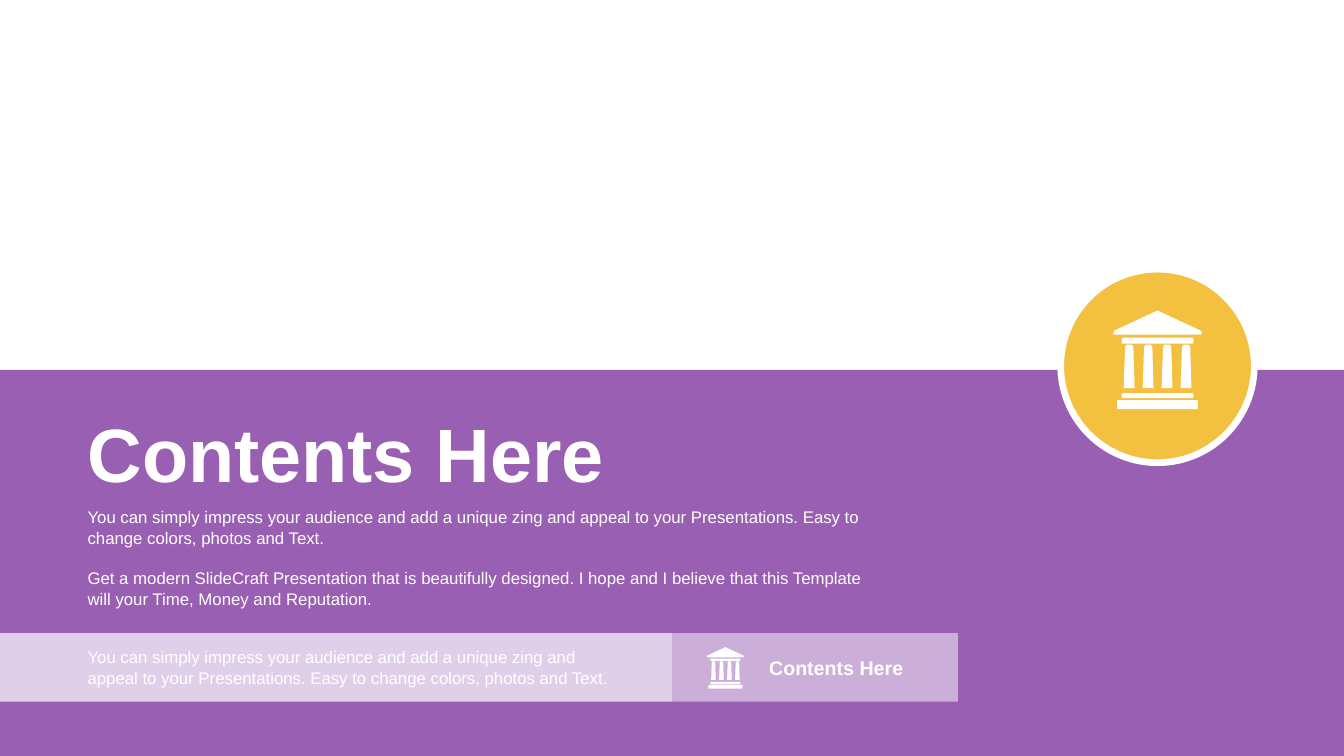
from lxml.etree import SubElement
from pptx import Presentation
from pptx.dml.color import RGBColor as Rgb
from pptx.enum.shapes import MSO_SHAPE as Kind
from pptx.oxml.ns import qn
from pptx.util import Inches, Pt

HUES = {"white": "FFFFFF", "plum": "995FB2", "gold": "F3C040"}
BLURB = ("You can simply impress your audience and add a unique zing and appeal "
         "to your Presentations. Easy to change colors, photos and Text.")
OFFER = ("Get a modern SlideCraft Presentation that is beautifully designed. I hope and "
         "I believe that this Template will your Time, Money and Reputation.")
HEAD = "Contents Here"


def tint(name):
    return Rgb.from_string(HUES[name])


def paint(shape, hue, alpha=None):
    shape.shadow.inherit = False
    shape.fill.solid()
    shape.fill.fore_color.rgb = tint(hue)
    shape.line.fill.background()
    if alpha is not None:
        color = shape.fill._xPr.find(qn("a:solidFill"))[0]
        SubElement(color, qn("a:alpha"), val=str(alpha * 1000))
    return shape


def block(slide, kind, box, hue, alpha=None):
    shape = slide.shapes.add_shape(kind, *map(Inches, box))
    return paint(shape, hue, alpha)


def write(slide, box, *texts, size=12, bold=False, pitch=None, gap=0):
    frame = slide.shapes.add_textbox(*map(Inches, box)).text_frame
    frame.word_wrap = True
    for i, text in enumerate(texts):
        para = frame.paragraphs[0] if i == 0 else frame.add_paragraph()
        if i:
            para.space_before = Pt(gap)
        if pitch:
            para.line_spacing = Pt(pitch)
        run = para.add_run()
        run.text = text
        font = run.font
        font.name, font.size, font.bold = "Arial", Pt(size), bold
        font.color.rgb = tint("white")


def bar(left, top, right, base, cut=8):
    """Outline of a bar with slightly cut corners."""
    return [(left + cut, top), (right - cut, top), (right, top + cut),
            (right, base - cut), (right - cut, base), (left + cut, base),
            (left, base - cut), (left, top + cut)]


def temple(slide, left, top, width):
    """Icon drawn on a grid 880 wide and 980 high."""
    roof = [(0, 225), (12, 200), (430, 5), (440, 0), (450, 5), (868, 200),
            (880, 225), (870, 240), (10, 240)]
    parts = [roof, bar(85, 270, 795, 330),
             bar(85, 820, 795, 870), bar(40, 890, 840, 980)]
    # Four tapered columns
    for x in range(105, 800, 188):
        parts.append([(x, 770), (x + 14, 360), (x + 30, 340), (x + 80, 340),
                      (x + 96, 360), (x + 108, 770)])
    pen = slide.shapes.build_freeform(*roof[0], scale=Inches(width) / 880)
    for i, part in enumerate(parts):
        if i:
            pen.move_to(*part[0])
        pen.add_line_segments(part[1:], close=True)
    paint(pen.convert_to_shape(Inches(left), Inches(top)), "white")


def badge(slide, left, top, size):
    disc = block(slide, Kind.OVAL, (left, top, size, size), "gold")
    disc.line.color.rgb = tint("white")
    disc.line.width = Pt(4.75)
    temple(slide, left + 0.52, top + 0.41, 0.88)


def intro(slide, left, top):
    write(slide, (left, top, 6.5, 1.01), HEAD, size=54, bold=True)
    write(slide, (left, top + 0.99, 8.05, 1.11), BLURB, OFFER,
          pitch=14.5, gap=14.5)


def strip(slide, left, top, high):
    split = left + 6.67
    block(slide, Kind.RECTANGLE, (split, top, 2.83, high), "white", 50)
    block(slide, Kind.RECTANGLE, (left, top, 6.67, high), "white", 70)
    write(slide, (left + 0.77, top + 0.09, 5.59, 0.5), BLURB, pitch=14.5)
    write(slide, (split + 0.86, top + 0.18, 1.97, 0.34), HEAD,
          size=14, bold=True)
    temple(slide, split + 0.34, top + 0.14, 0.37)


def main():
    deck = Presentation()
    deck.slide_width, deck.slide_height = Inches(13.33), Inches(7.5)
    slide = deck.slides.add_slide(deck.slide_layouts[6])
    # Lower panel
    block(slide, Kind.RECTANGLE, (0, 3.67, 13.33, 3.83), "plum")
    # Round icon, main text and footer strip
    badge(slide, 10.52, 2.67, 1.92)
    intro(slide, 0.77, 3.99)
    strip(slide, 0, 6.28, 0.68)
    deck.save("out.pptx")


if __name__ == "__main__":
    main()
